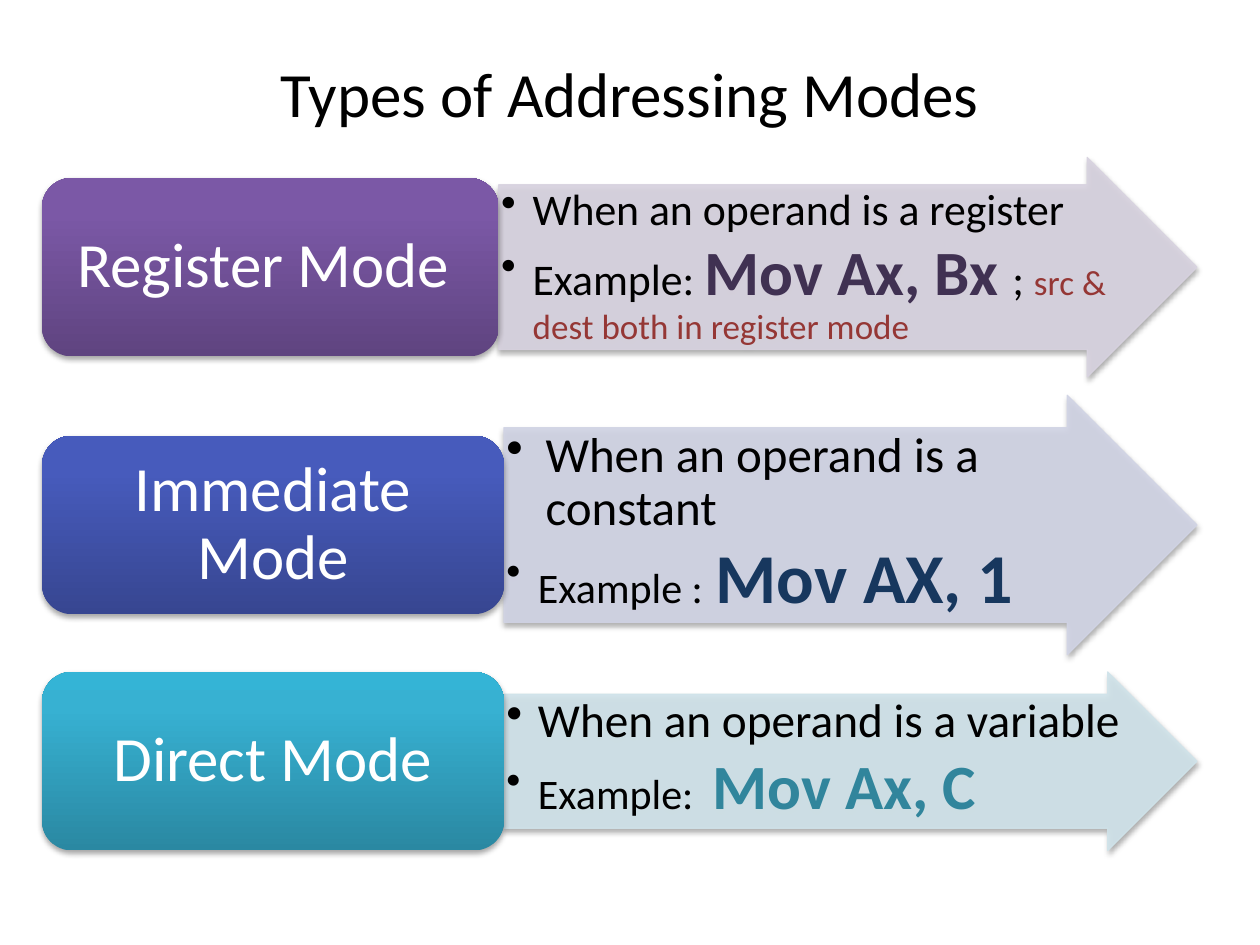
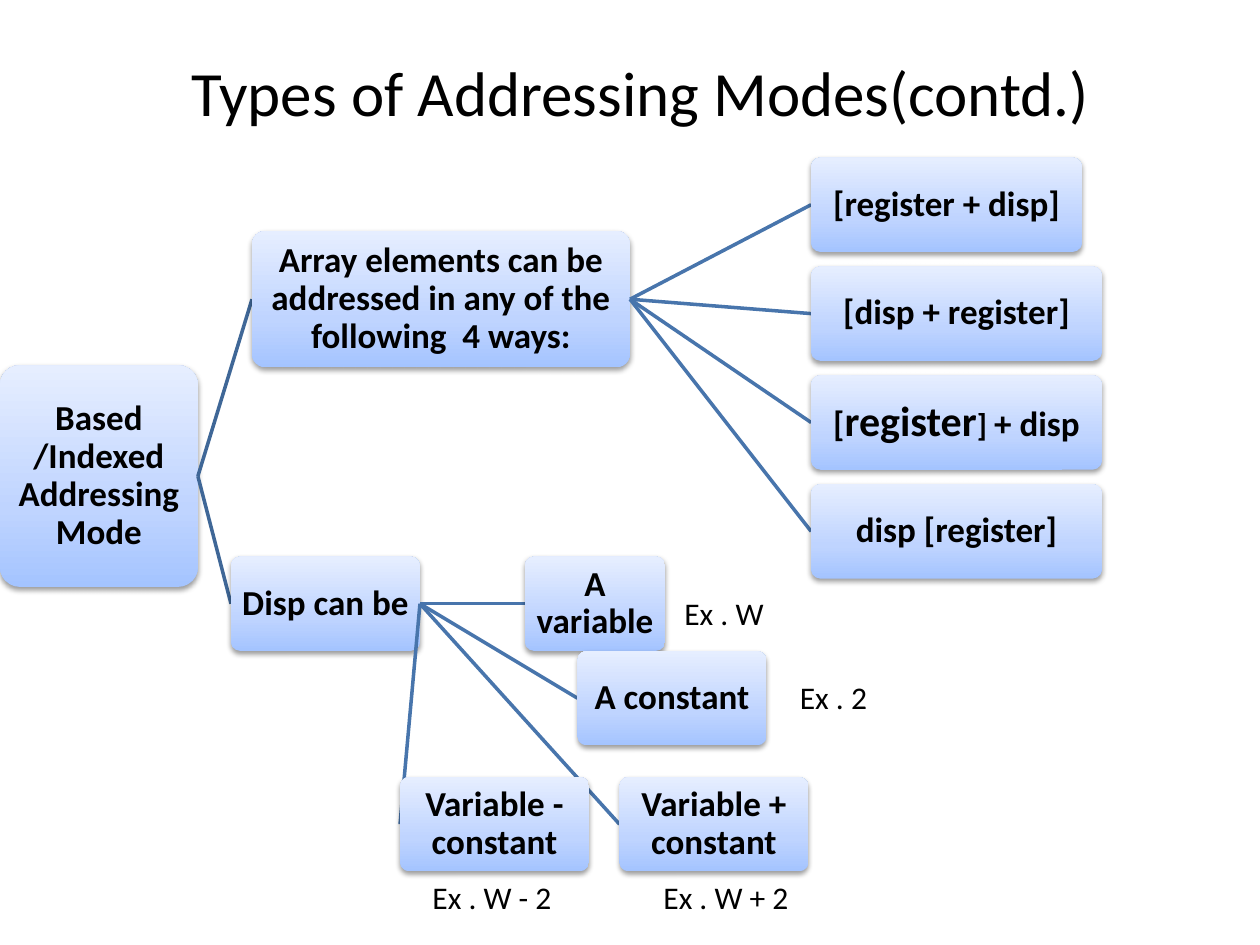
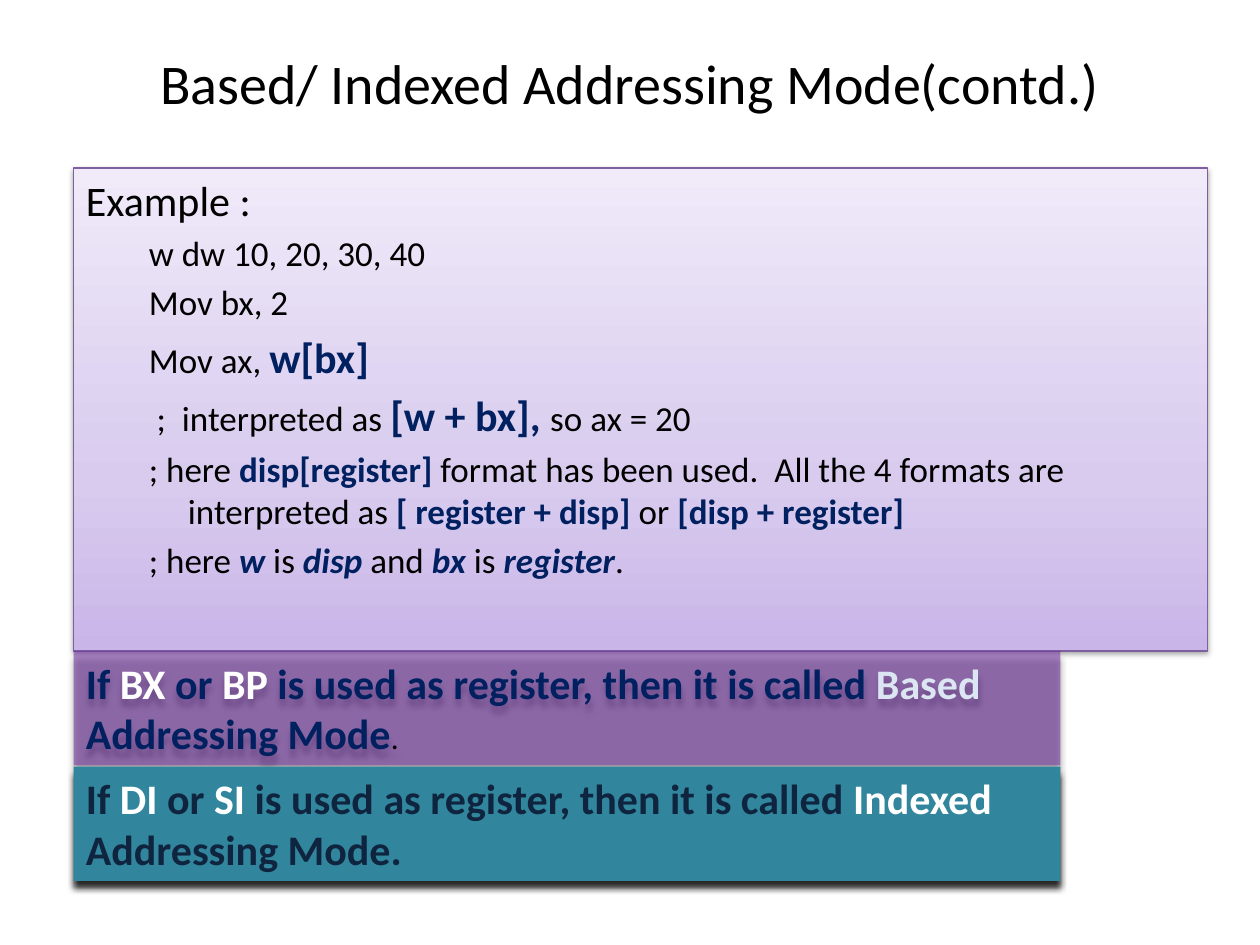
from dataclasses import dataclass
from typing import NamedTuple

from lxml.etree import SubElement
from pptx import Presentation
from pptx.dml.color import RGBColor
from pptx.enum.shapes import MSO_CONNECTOR, MSO_SHAPE
from pptx.enum.text import MSO_ANCHOR, PP_ALIGN
from pptx.oxml.ns import qn
from pptx.util import Inches, Pt

WIDTH, HEIGHT = Inches(10), Inches(7.5)
CELL = WIDTH // 120
FONT = "Calibri"
TITLE_ONLY = 5

BLACK = RGBColor(0x00, 0x00, 0x00)
WHITE = RGBColor(0xFF, 0xFF, 0xFF)
NAVY = RGBColor(0x00, 0x20, 0x60)
DARK_BLUE = RGBColor(0x0F, 0x24, 0x3E)
CODE_BLUE = RGBColor(0x17, 0x37, 0x5E)
CODE_PURPLE = RGBColor(0x40, 0x31, 0x52)
REMARK_RED = RGBColor(0x95, 0x37, 0x35)
PALE_BLUE = RGBColor(0xDC, 0xE6, 0xF2)
TEAL = RGBColor(0x31, 0x85, 0x9C)
VIOLET = RGBColor(0x70, 0x30, 0xA0)
PANEL_EDGE = RGBColor(0x7D, 0x60, 0xA0)
TRUNK = RGBColor(0x3F, 0x67, 0x97)
BRANCH = RGBColor(0x48, 0x75, 0xAC)
LILAC_TINT = RGBColor(0xD8, 0xD3, 0xE0)
BLUE_TINT = RGBColor(0xD1, 0xD4, 0xE5)
TEAL_TINT = RGBColor(0xD0, 0xE3, 0xEA)

Gradient = list[tuple[int, RGBColor]]
PURPLE_FADE: Gradient = [(0, RGBColor(0x5F, 0x44, 0x80)), (80, RGBColor(0x7B, 0x58, 0xA6)),
                         (100, RGBColor(0x7C, 0x57, 0xA8))]
BLUE_FADE: Gradient = [(0, RGBColor(0x37, 0x46, 0x91)), (80, RGBColor(0x47, 0x5B, 0xBC)),
                       (100, RGBColor(0x45, 0x5A, 0xBF))]
TEAL_FADE: Gradient = [(0, RGBColor(0x2A, 0x88, 0xA2)), (80, RGBColor(0x37, 0xB1, 0xD2)),
                       (100, RGBColor(0x34, 0xB4, 0xD6))]
NODE_FADE: Gradient = [(0, RGBColor(0xA4, 0xC4, 0xFF)), (35, RGBColor(0xBF, 0xD4, 0xFF)),
                       (100, RGBColor(0xE6, 0xEE, 0xFF))]
PANEL_FADE: Gradient = [(0, RGBColor(0xC9, 0xB5, 0xE8)), (35, RGBColor(0xD8, 0xCB, 0xEE)),
                        (100, RGBColor(0xF0, 0xEA, 0xF9))]


class Box(NamedTuple):
    left: float
    top: float
    width: float
    height: float

    def emu(self) -> list[int]:
        return [round(v * CELL) for v in self]


class Shadow(NamedTuple):
    alpha: int
    blur: float
    distance: float


class Run(NamedTuple):
    text: str
    size: float = 20
    color: RGBColor = BLACK
    bold: bool = False
    italic: bool = False


@dataclass
class Para:
    runs: list[Run]
    align: PP_ALIGN = PP_ALIGN.LEFT
    spacing: float | None = None
    before: int = 0
    after: int = 0
    margin: float = 0
    hanging: float = 0
    bullet: bool = False


@dataclass
class Mode:
    name: str
    top: float
    width: float
    arrow_height: float
    fade: Gradient
    tint: RGBColor
    points: list[Para]


@dataclass
class Node:
    box: Box
    runs: list[Run]
    children: tuple["Node", ...] = ()


ARROW_SHADOW = Shadow(35, 3.1, 1.8)
SOFT_SHADOW = Shadow(38, 3.1, 1.6)


def write(tf, paras: list[Para], inset: tuple[float, float] = (0.1, 0.05),
          anchor: MSO_ANCHOR = MSO_ANCHOR.TOP) -> None:
    x, y = map(Inches, inset)
    frame = {"word_wrap": True, "vertical_anchor": anchor, "margin_left": x,
             "margin_right": x, "margin_top": y, "margin_bottom": y}
    for name, value in frame.items():
        setattr(tf, name, value)
    for i, para in enumerate(paras):
        p = tf.add_paragraph() if i else tf.paragraphs[0]
        p.alignment = para.align
        if para.spacing:
            p.line_spacing = para.spacing
        pPr = p._p.get_or_add_pPr()
        for tag, percent in (("a:spcBef", para.before), ("a:spcAft", para.after)):
            if percent:
                SubElement(SubElement(pPr, qn(tag)), qn("a:spcPct"), val=str(percent * 1000))
        if para.margin:
            pPr.set("marL", str(Inches(para.margin)))
            pPr.set("indent", str(-Inches(para.hanging)))
        if para.bullet:
            SubElement(pPr, qn("a:buChar"), char="•")
        for run in para.runs:
            r = p.add_run()
            r.text = run.text
            style = {"name": FONT, "size": Pt(run.size), "bold": run.bold, "italic": run.italic}
            for name, value in style.items():
                setattr(r.font, name, value)
            r.font.color.rgb = run.color


def set_alpha(color_element, percent: int) -> None:
    SubElement(color_element, qn("a:alpha"), val=str(percent * 1000))


def add_shape(s, kind: MSO_SHAPE, box: Box, fill: RGBColor | Gradient, shadow: Shadow,
              opacity: int = 100, line: RGBColor | None = None,
              adjustments: tuple[float, ...] = ()):
    sp = s.shapes.add_shape(kind, *box.emu())
    for i, value in enumerate(adjustments):
        sp.adjustments[i] = value
    spPr = sp._element.spPr
    if isinstance(fill, list):
        sp.fill.gradient()
        sp.fill.gradient_angle = 90
        stops = spPr.find(".//" + qn("a:gsLst"))
        for stop in list(stops):
            stops.remove(stop)
        for place, color in fill:
            stop = SubElement(stops, qn("a:gs"), pos=str(place * 1000))
            SubElement(stop, qn("a:srgbClr"), val=str(color))
    else:
        sp.fill.solid()
        sp.fill.fore_color.rgb = fill
    if line is None:
        sp.line.fill.background()
    else:
        sp.line.color.rgb = line
        sp.line.width = Pt(0.75)
    if opacity < 100:
        for color in spPr.iter(qn("a:srgbClr")):
            set_alpha(color, opacity)
    sp.shadow.inherit = False
    outer = SubElement(spPr.find(qn("a:effectLst")), qn("a:outerShdw"),
                       blurRad=str(Pt(shadow.blur)), dist=str(Pt(shadow.distance)),
                       dir="5400000", rotWithShape="0")
    set_alpha(SubElement(outer, qn("a:srgbClr"), val=str(BLACK)), shadow.alpha)
    return sp


def add_slide(prs, title: str, box: Box, size: float = 36):
    s = prs.slides.add_slide(prs.slide_layouts[TITLE_ONLY])
    sp = s.shapes.title
    sp.left, sp.top, sp.width, sp.height = box.emu()
    write(sp.text_frame, [Para([Run(title, size)], PP_ALIGN.CENTER)], anchor=MSO_ANCHOR.MIDDLE)
    return s


def point(*runs: Run, margin: float = 0.25) -> Para:
    return Para(list(runs), spacing=0.9, after=15, margin=margin, hanging=margin, bullet=True)


def add_mode(s, mode: Mode) -> None:
    left, right, height = 4, 114, 17
    start = left + mode.width
    arrow = Box(start, mode.top + (height - mode.arrow_height) / 2, right - start, mode.arrow_height)
    sp = add_shape(s, MSO_SHAPE.RIGHT_ARROW, arrow, mode.tint, ARROW_SHADOW, 90, mode.tint,
                   (0.75, 0.5))
    write(sp.text_frame, mode.points, (0.02, 0.02))
    sp = add_shape(s, MSO_SHAPE.ROUNDED_RECTANGLE, Box(left, mode.top, mode.width, height),
                   mode.fade, ARROW_SHADOW)
    write(sp.text_frame, [Para([Run(mode.name, 36, WHITE)], PP_ALIGN.CENTER, 0.9)],
          (0.15, 0.07), MSO_ANCHOR.MIDDLE)


def add_node(s, node: Node, color: RGBColor = TRUNK):
    sp = add_shape(s, MSO_SHAPE.ROUNDED_RECTANGLE, node.box, NODE_FADE, SOFT_SHADOW,
                   adjustments=(0.1,))
    write(sp.text_frame, [Para(node.runs, PP_ALIGN.CENTER, 0.9)], (0.01, 0.01), MSO_ANCHOR.MIDDLE)
    for child in node.children:
        link = s.shapes.add_connector(MSO_CONNECTOR.STRAIGHT, 0, 0, 0, 0)
        link.line.color.rgb = color
        link.line.width = Pt(2)
        SubElement(link._element.spPr, qn("a:effectLst"))
        link.begin_connect(sp, 3)
        link.end_connect(add_node(s, child, BRANCH), 1)
    return sp


def label(text: str) -> list[Run]:
    return [Run(text, bold=True)]


def strong(text: str, size: float = 20, italic: bool = False) -> Run:
    return Run(text, size, NAVY, True, italic)


def code(*runs: Run) -> Para:
    return Para(list(runs), before=20, margin=0.81, hanging=0.31)


def modes_slide(prs) -> None:
    s = add_slide(prs, "Types of Addressing Modes", Box(6, 3.6, 108, 10.4))
    modes = [
        Mode("Register Mode ", 16.95, 43.5, 20.9, PURPLE_FADE, LILAC_TINT, [
            point(Run("When an operand is a register", 25)),
            point(Run("Example: ", 25), Run("Mov Ax, Bx ", 36, CODE_PURPLE, True), Run("; ", 25),
                  Run("src & dest both in register mode", 20, REMARK_RED))]),
        Mode("Immediate Mode", 41.5, 44, 24.7, BLUE_FADE, BLUE_TINT, [
            point(Run("When an operand is a constant", 28), margin=0.31),
            point(Run("Example :", 24), Run(" ", 32), Run("Mov AX, 1", 40, CODE_BLUE, True))]),
        Mode("Direct Mode", 64, 44, 17, TEAL_FADE, TEAL_TINT, [
            point(Run("When an operand is a variable", 27)),
            point(Run("Example:  ", 24), Run("Mov Ax, C", 36, TEAL, True))]),
    ]
    for mode in modes:
        add_mode(s, mode)


def tree_slide(prs) -> None:
    s = add_slide(prs, "Types of Addressing Modes(contd.)", Box(7, 3, 108, 11.4))
    ways = [
        (25.8, label("[register + disp]")),
        (27.7, label("[disp + register]")),
        (27.7, [Run("[", bold=True), Run("register", 24, bold=True), Run("] ", 18, bold=True),
                Run("+ disp", bold=True)]),
        (27.7, label("disp [register]")),
    ]
    arrays = Node(Box(24, 22, 36, 13),
                  label("Array elements can be addressed in any of the following  4 ways:"),
                  tuple(Node(Box(77.25, 15 + 10.37 * i, width, 9), runs)
                        for i, (width, runs) in enumerate(ways)))
    disp = Node(Box(22, 53, 18, 9), label("Disp can be"), (
        Node(Box(50, 53, 13.35, 9), label("A variable")),
        Node(Box(55, 62, 18, 9), label("A constant")),
        Node(Box(59, 74, 18, 9), label("Variable + constant")),
        Node(Box(38.1, 74, 18, 9), label("Variable - constant"))))
    add_node(s, Node(Box(0, 34.8, 18.85, 21.1), label("Based /Indexed Addressing Mode"),
                     (arrays, disp)))
    examples = [("Ex . W", 64, 56, 11), ("Ex . 2", 75, 64, 11),
                ("Ex . W - 2", 40, 83, 14), ("Ex . W + 2", 62, 83, 15)]
    for text, left, top, width in examples:
        sp = s.shapes.add_textbox(*Box(left, top, width, 4.8).emu())
        write(sp.text_frame, [Para([Run(text, 18)])])


def example_slide(prs) -> None:
    s = add_slide(prs, "Based/ Indexed Addressing Mode(contd.)", Box(6, 3.6, 108, 8.4), 32)
    panel = add_shape(s, MSO_SHAPE.RECTANGLE, Box(7, 16, 108, 46), PANEL_FADE, SOFT_SHADOW,
                      line=PANEL_EDGE)
    write(panel.text_frame, [
        Para([Run("Example :", 24)], before=20, margin=0.38, hanging=0.38),
        code(Run("w dw 10, 20, 30, 40")),
        code(Run("Mov bx, 2")),
        code(Run("Mov ax, "), strong("w[bx]", 24)),
        code(Run(" ;  interpreted as "), strong("[w + bx], ", 24), Run("so ax = 20")),
        code(Run("; here "), strong("disp[register]"),
             Run(" format has been used.  All the 4 formats are interpreted as "),
             strong("[ register + disp]"), Run(" or "), strong("[disp + register]")),
        code(Run("; here "), strong("w", italic=True), Run(" is "), strong("disp", italic=True),
             Run(" and "), strong("bx", italic=True), Run(" is "),
             strong("register", italic=True), Run(".")),
    ])
    strips = [
        (VIOLET, 55, 58, NAVY, ("BX", "BP"), "Based ", PALE_BLUE,
         [Run("Addressing Mode", 24, NAVY, True), Run(".", 18)]),
        (TEAL, 100, 84, DARK_BLUE, ("DI", "SI"), "Indexed ", WHITE,
         [Run("Addressing Mode.", 24, DARK_BLUE, True)]),
    ]
    for i, (fill, opacity, shade, ink, registers, name, name_ink, ending) in enumerate(strips):
        sp = add_shape(s, MSO_SHAPE.RECTANGLE, Box(7, 62 + 11 * i, 94, 10.9), fill,
                       Shadow(shade, 4, 4), opacity)
        words = [("If ", ink), (registers[0], WHITE), (" or ", ink), (registers[1], WHITE),
                 (" is used as register, then it is called ", ink), (name, name_ink)]
        write(sp.text_frame, [Para([Run(t, 24, c, True) for t, c in words] + ending)])


def main() -> None:
    prs = Presentation()
    prs.slide_width, prs.slide_height = WIDTH, HEIGHT
    modes_slide(prs)
    tree_slide(prs)
    example_slide(prs)
    prs.save("out.pptx")


if __name__ == "__main__":
    main()
